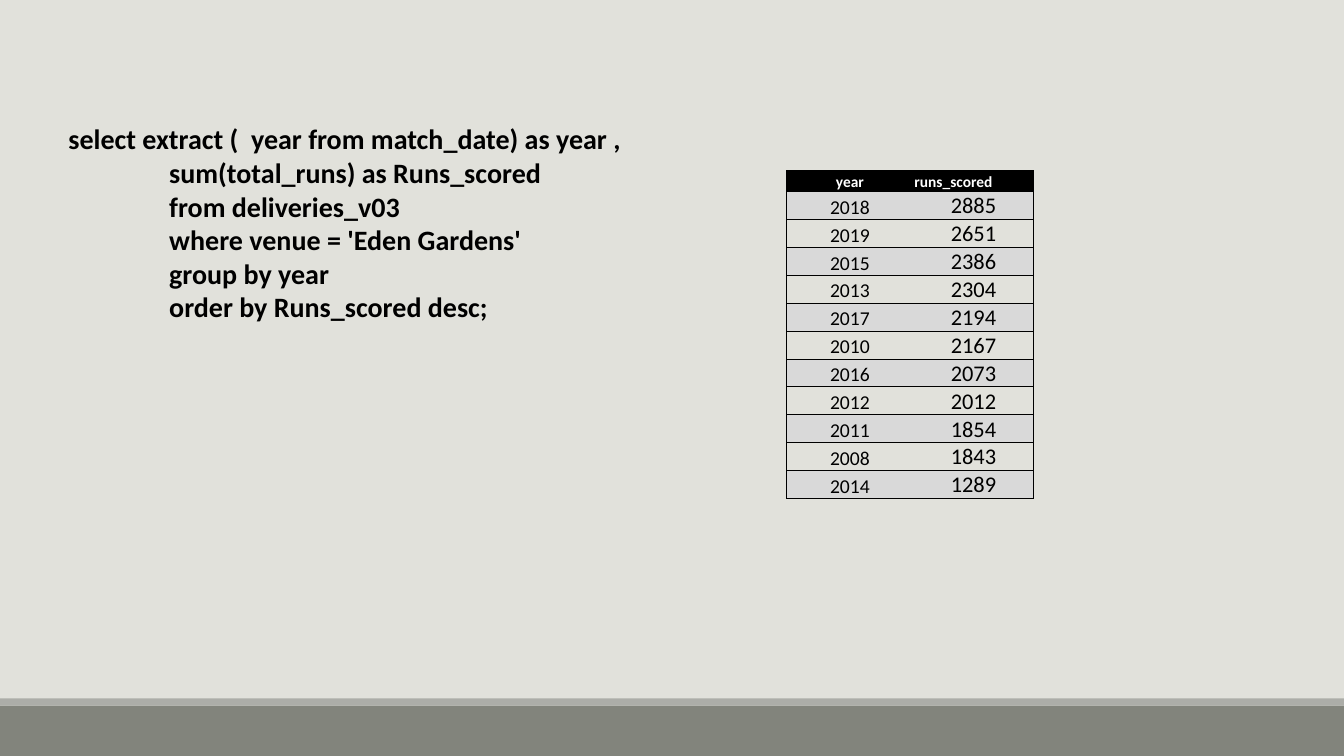
from lxml.etree import SubElement
from pptx import Presentation
from pptx.dml.color import RGBColor
from pptx.enum.shapes import MSO_SHAPE as Shape
from pptx.enum.text import MSO_ANCHOR as Anchor, PP_ALIGN as Align
from pptx.oxml.ns import qn
from pptx.util import Inches, Pt

COLORS = {
    "background": "E1E1DB",
    "footer": "82847C",
    "footer_edge": "ACADA8",
    "black": "000000",
    "white": "FFFFFF",
    "band": "D9D9D9",
}


def color(name):
    return RGBColor.from_string(COLORS[name])


def write(paragraph, text, size, bold=False, ink="black", align=Align.LEFT, indent=0):
    paragraph.alignment = align
    if indent:
        properties = paragraph._p.get_or_add_pPr()
        properties.set("marL", str(Inches(indent)))
        properties.set("indent", "0")
    run = paragraph.add_run()
    run.text = text
    run.font.name = "Calibri"
    run.font.size = Pt(size)
    run.font.bold = bold
    run.font.color.rgb = color(ink)


presentation = Presentation()
presentation.slide_width = Inches(13.33)
presentation.slide_height = Inches(7.5)
slide = presentation.slides.add_slide(presentation.slide_layouts[6])
slide.background.fill.solid()
slide.background.fill.fore_color.rgb = color("background")

for top, height, fill in [(7, 0.5, "footer"), (6.93, 0.07, "footer_edge")]:
    bar = slide.shapes.add_shape(
        Shape.RECTANGLE, 0, Inches(top), presentation.slide_width, Inches(height)
    )
    bar.shadow.inherit = False
    bar.fill.solid()
    bar.fill.fore_color.rgb = color(fill)
    bar.line.fill.background()

query_lines = [
    "select extract (  year from match_date) as year ,",
    "sum(total_runs) as Runs_scored",
    "from deliveries_v03",
    "where venue = 'Eden Gardens'",
    "group by year",
    "order by Runs_scored desc;",
]
query_box = slide.shapes.add_textbox(Inches(0.58), Inches(1.16), Inches(6.67), Inches(2.42))
query_frame = query_box.text_frame
query_frame.word_wrap = True
for index, line in enumerate(query_lines):
    paragraph = query_frame.add_paragraph() if index else query_frame.paragraphs[0]
    write(paragraph, line, size=20, bold=True, indent=1 if index else 0)

runs_by_year = [
    ("year", "runs_scored"),
    ("2018", "2885"),
    ("2019", "2651"),
    ("2015", "2386"),
    ("2013", "2304"),
    ("2017", "2194"),
    ("2010", "2167"),
    ("2016", "2073"),
    ("2012", "2012"),
    ("2011", "1854"),
    ("2008", "1843"),
    ("2014", "1289"),
]
table = slide.shapes.add_table(
    len(runs_by_year), 2, Inches(7.8), Inches(1.69), Inches(2.45), Inches(3.26)
).table
table.first_row = False
table.horz_banding = False
for column, width in zip(table.columns, [1.26, 1.19]):
    column.width = Inches(width)

for row_index, values in enumerate(runs_by_year):
    is_header = row_index == 0
    table.rows[row_index].height = Inches(0.21 if is_header else 0.27)
    for column_index, value in enumerate(values):
        cell = table.cell(row_index, column_index)
        cell.vertical_anchor = Anchor.BOTTOM
        cell.margin_left = cell.margin_right = cell.margin_top = Inches(0.01)
        cell.margin_bottom = 0

        inner_side = "lnL" if column_index else "lnR"
        for side in ["lnL", "lnR", "lnT", "lnB"]:
            border = SubElement(cell._tc.get_or_add_tcPr(), qn(f"a:{side}"), w=str(Pt(0.5)))
            if side == inner_side:
                SubElement(border, qn("a:noFill"))
            else:
                border_fill = SubElement(border, qn("a:solidFill"))
                SubElement(border_fill, qn("a:srgbClr"), val=COLORS["black"])

        if is_header or row_index % 2:
            cell.fill.solid()
            cell.fill.fore_color.rgb = color("black" if is_header else "band")
        else:
            cell.fill.background()

        paragraph = cell.text_frame.paragraphs[0]
        if is_header:
            align = Align.LEFT if column_index else Align.CENTER
            write(paragraph, value, size=11, bold=True, ink="white", align=align)
        else:
            write(paragraph, value, size=16 if column_index else 14, align=Align.CENTER)

presentation.save("out.pptx")
